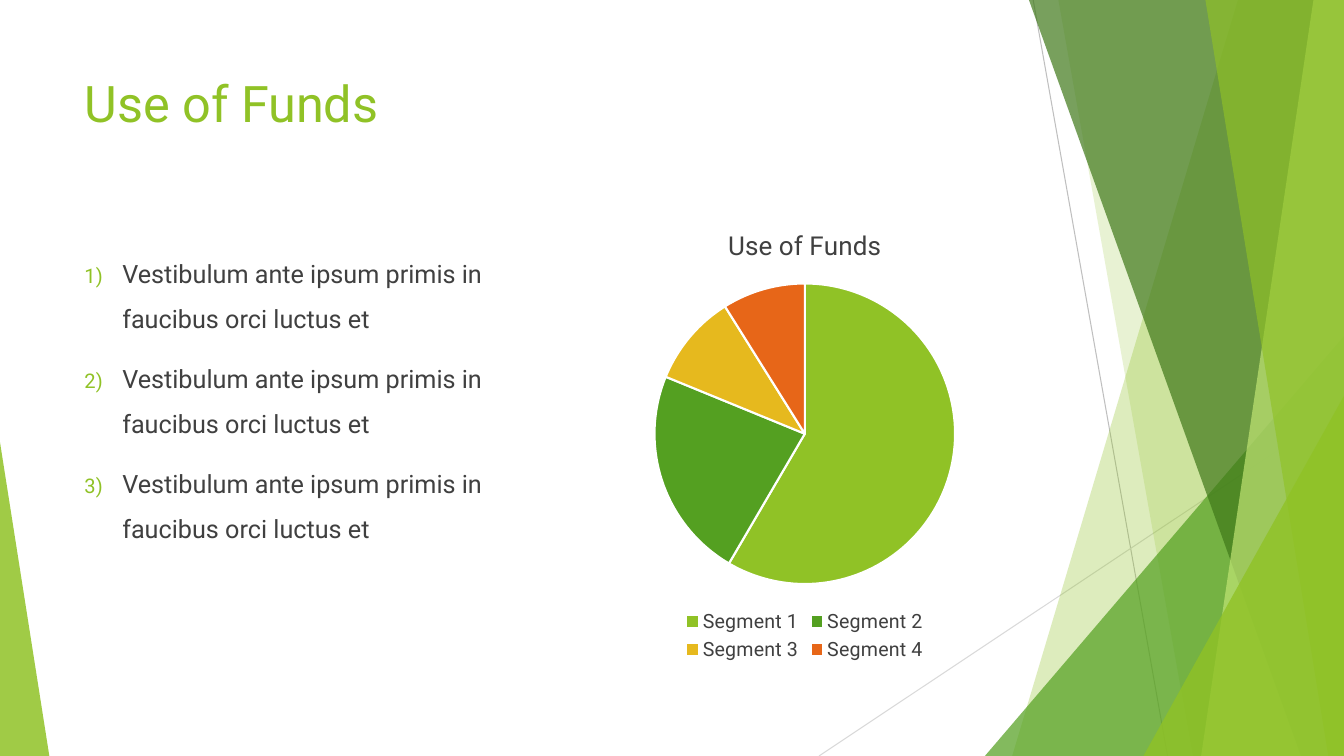
from lxml import etree
from pptx import Presentation
from pptx.chart.data import CategoryChartData
from pptx.dml.color import RGBColor
from pptx.enum.chart import XL_CHART_TYPE, XL_LEGEND_POSITION
from pptx.enum.shapes import MSO_CONNECTOR, MSO_SHAPE
from pptx.enum.text import MSO_ANCHOR
from pptx.oxml.ns import qn
from pptx.util import Emu, Pt

PIE = XL_CHART_TYPE.PIE
BOTTOM = XL_LEGEND_POSITION.BOTTOM
STRAIGHT = MSO_CONNECTOR.STRAIGHT
TRIANGLE = MSO_SHAPE.ISOSCELES_TRIANGLE
TOP = MSO_ANCHOR.TOP

PX = 9525
W, H = 1280, 720
FONT = "Roboto"

LIME = RGBColor(0x90, 0xC2, 0x26)
GREEN = RGBColor(0x54, 0xA0, 0x21)
DARK_GREEN = RGBColor(0x3F, 0x78, 0x19)
PALE_LIME = RGBColor(0xC0, 0xE4, 0x74)
GOLD = RGBColor(0xE6, 0xB9, 0x1E)
ORANGE = RGBColor(0xE7, 0x66, 0x18)
TEXT = RGBColor(0x40, 0x40, 0x40)
GREY = RGBColor(0xBF, 0xBF, 0xBF)
LIGHT_GREY = RGBColor(0xD9, 0xD9, 0xD9)
WHITE = RGBColor(0xFF, 0xFF, 0xFF)

ITEMS = ["Vestibulum ante ipsum primis in faucibus orci luctus et"] * 3
SEGMENTS = [("Segment 1", 59, LIME), ("Segment 2", 23, GREEN),
            ("Segment 3", 10, GOLD), ("Segment 4", 9, ORANGE)]


def px(*lengths):
    return [Emu(n * PX) for n in lengths]


def set_font(font, size, color):
    font.name = FONT
    font.size = Pt(size)
    font.bold = False
    font.color.rgb = color


def paint(sp, color, opacity):
    """Fill with a see-through colour, without outline or shadow."""
    sp.shadow.inherit = False
    sp.line.fill.background()
    sp.fill.solid()
    sp.fill.fore_color.rgb = color
    clr = sp._element.spPr.find(qn("a:solidFill"))[0]
    etree.SubElement(clr, qn("a:alpha"), val=str(opacity * 1000))


def add_line(s, ends, color):
    ln = s.shapes.add_connector(STRAIGHT, *px(*ends))
    ln.line.color.rgb = color
    ln.line.width = Pt(0.75)
    etree.SubElement(ln._element.spPr, qn("a:effectLst"))


def add_facet(s, top, bottom, color, opacity):
    """Panel with a slanted left edge that runs to the right slide edge."""
    fb = s.shapes.build_freeform(top, 0, scale=PX)
    fb.add_line_segments([(W, 0), (W, H), (bottom, H)])
    paint(fb.convert_to_shape(), color, opacity)


def add_corner(s, x, y, w, apex, color, opacity):
    """Right triangle standing on the bottom edge of the slide."""
    sp = s.shapes.add_shape(TRIANGLE, *px(x, y, w, H - y))
    sp.adjustments[0] = apex
    paint(sp, color, opacity)


def add_backdrop(s):
    add_line(s, (984, 0, 1112, H), GREY)
    add_line(s, (W, 387, 780, H), LIGHT_GREY)
    add_facet(s, 1179, 964, LIME, 30)
    add_facet(s, 1008, 1136, LIME, 20)
    add_corner(s, 938, 320, 342, 1, GREEN, 72)
    add_facet(s, 980, 1239, DARK_GREEN, 70)
    add_facet(s, 1251, 1153 - 9, PALE_LIME, 70)
    add_facet(s, 1148, 1265, LIME, 65)
    add_corner(s, 1089, 377, 191, 1, LIME, 80)
    add_corner(s, 0, 421, 47, 0, LIME, 85)


def add_text(s, box, lines, size, color):
    tf = s.shapes.add_textbox(*px(*box)).text_frame
    tf.word_wrap = True
    tf.vertical_anchor = TOP
    tf.text = "\n".join(lines)
    for p in tf.paragraphs:
        set_font(p.runs[0].font, size, color)
    return tf


def add_numbered_list(s, box, items):
    tf = add_text(s, box, items, 18, TEXT)
    for p in tf.paragraphs:
        p.line_spacing = 1.5
        p.space_before = Pt(10)
        pPr = p._p.get_or_add_pPr()
        pPr.set("marL", str(36 * PX))
        pPr.set("indent", str(-36 * PX))
        clr = etree.SubElement(pPr, qn("a:buClr"))
        etree.SubElement(clr, qn("a:srgbClr"), val=str(LIME))
        etree.SubElement(pPr, qn("a:buSzPct"), val="80000")
        etree.SubElement(pPr, qn("a:buFont"), typeface="+mj-lt")
        etree.SubElement(pPr, qn("a:buAutoNum"), type="arabicParenR")


def add_funds_chart(s, box):
    names, values, colors = zip(*SEGMENTS)
    data = CategoryChartData()
    data.categories = names
    data.add_series("Series 1", values)
    chart = s.shapes.add_chart(PIE, *px(*box), data).chart
    chart.font.name = FONT

    # Title and legend
    chart.has_title = True
    tf = chart.chart_title.text_frame
    tf.text = "Use of Funds"
    set_font(tf.paragraphs[0].runs[0].font, 18.6, TEXT)
    chart.has_legend = True
    chart.legend.position = BOTTOM
    chart.legend.include_in_layout = False
    set_font(chart.legend.font, 14, TEXT)

    # Slices
    plot = chart.plots[0]
    plot.vary_by_categories = True
    for i, color in enumerate(colors):
        fmt = plot.series[0].points[i].format
        fmt.fill.solid()
        fmt.fill.fore_color.rgb = color
        fmt.line.color.rgb = WHITE
        fmt.line.width = Pt(1.5)


def main():
    prs = Presentation()
    prs.slide_width, prs.slide_height = px(W, H)
    s = prs.slides.add_slide(prs.slide_layouts[6])
    add_backdrop(s)
    add_text(s, (71, 64, 902, 84), ["Use of Funds"], 36, LIME)
    add_numbered_list(s, (71, 227, 430, 407), ITEMS)
    add_funds_chart(s, (532, 199, 469, 435))
    prs.save("out.pptx")


if __name__ == "__main__":
    main()
